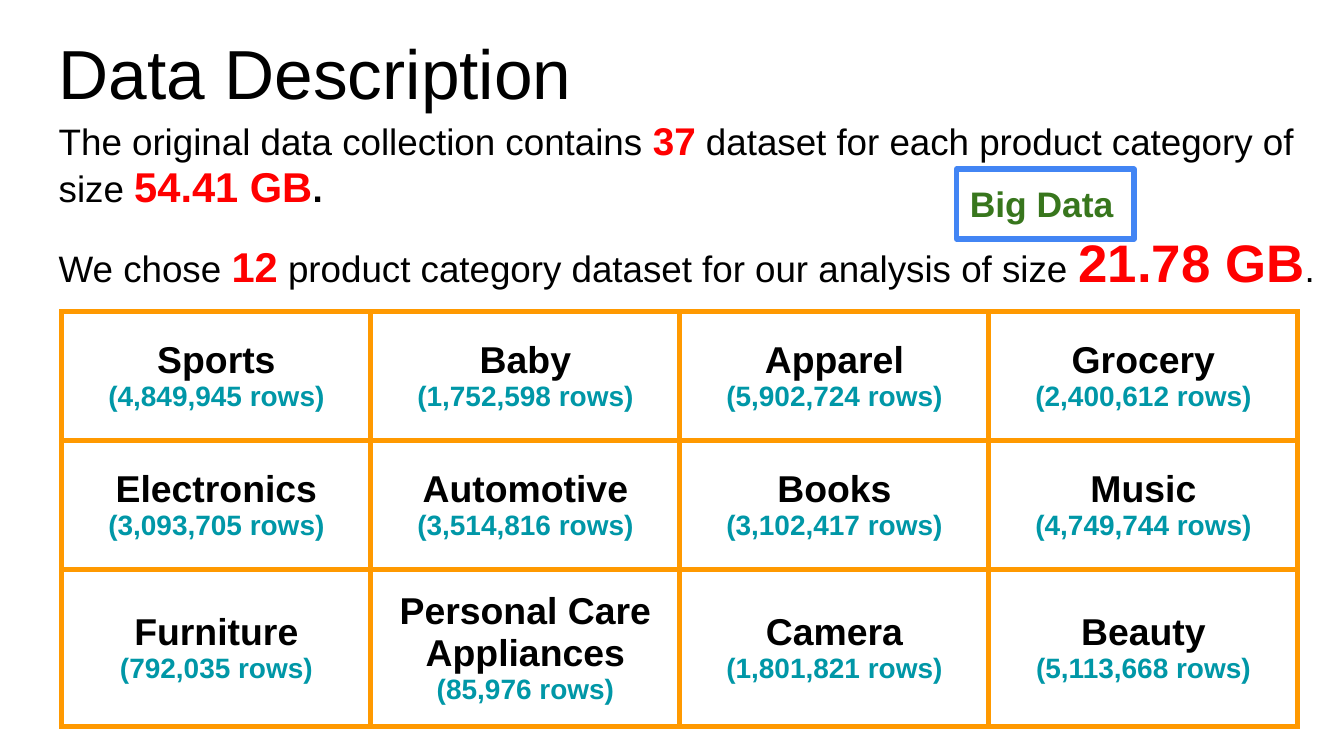
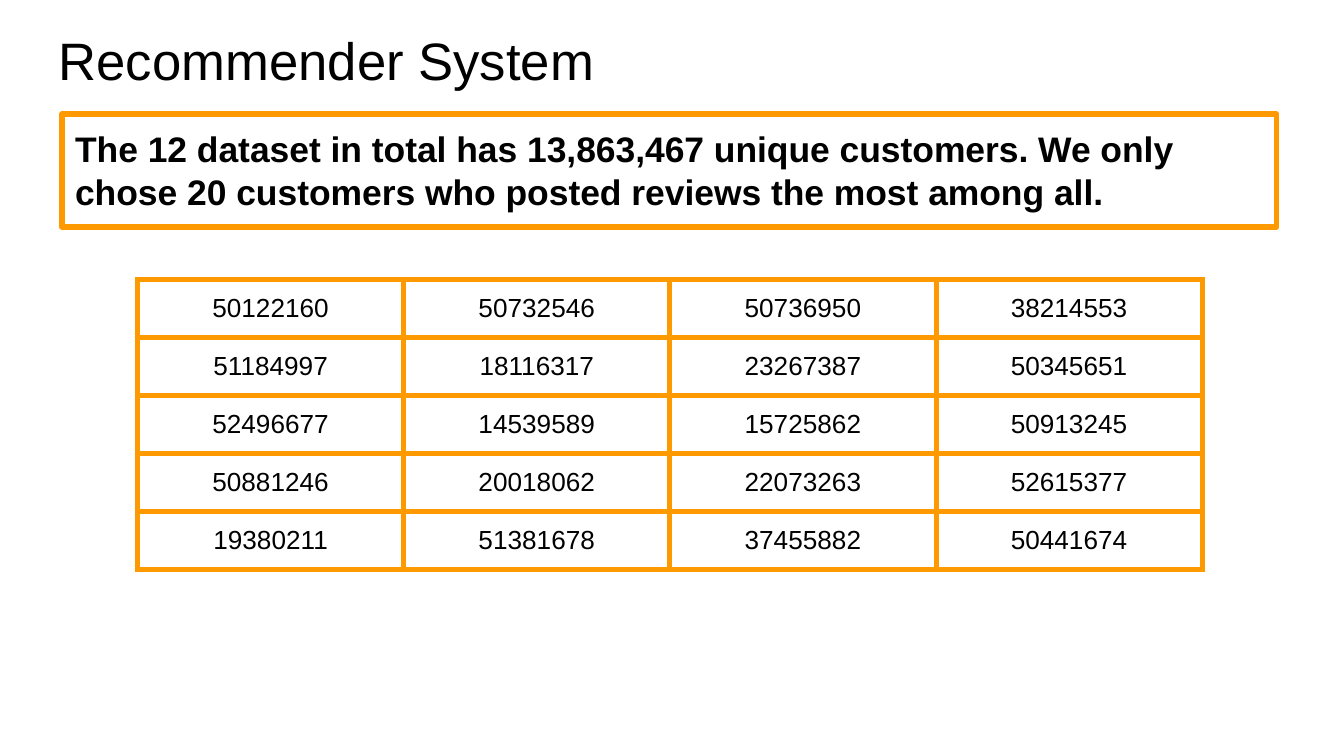
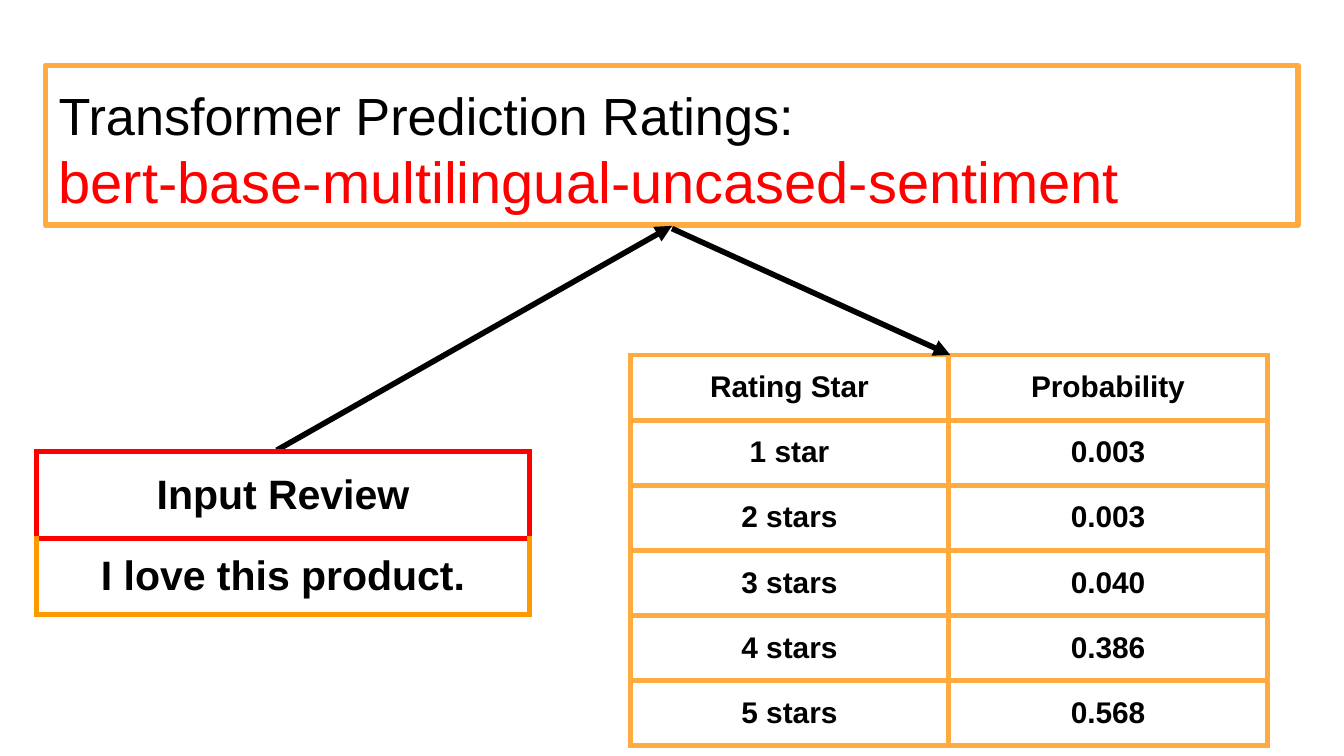
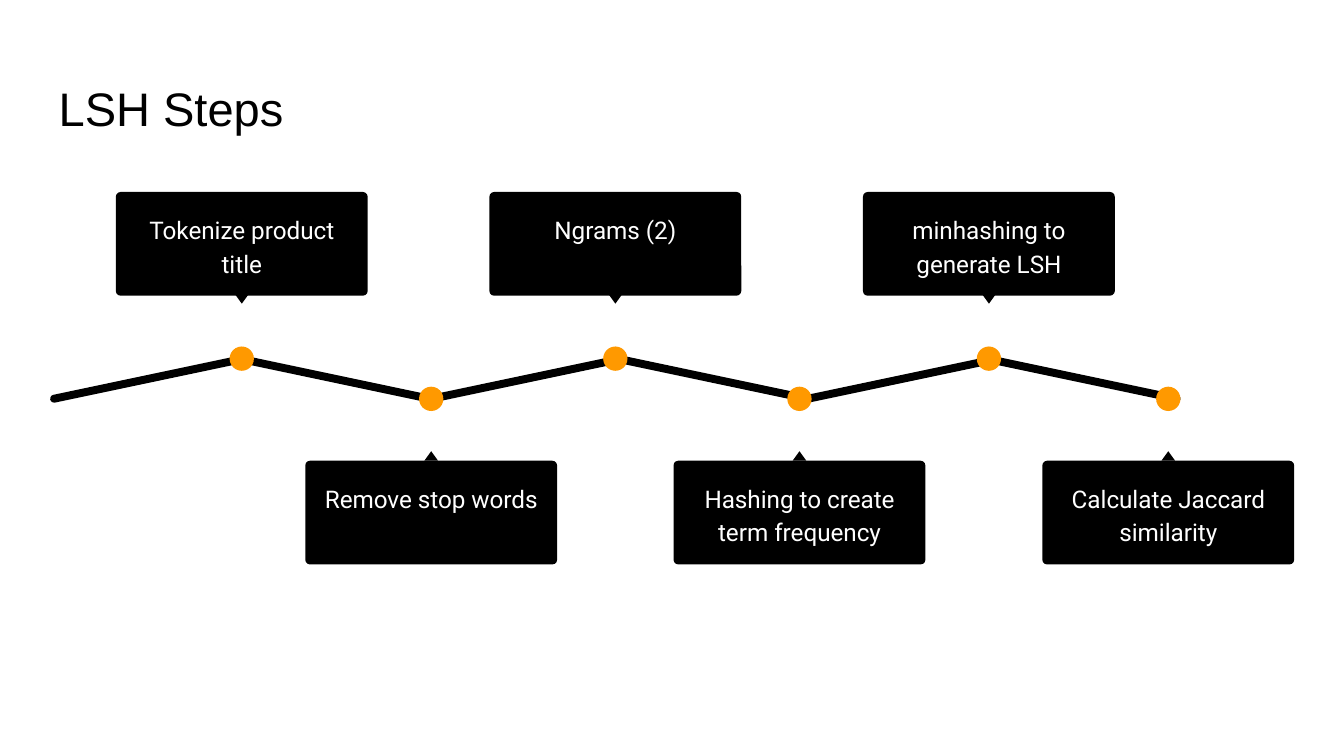
from pptx import Presentation
from pptx.dml.color import RGBColor as RGB
from pptx.enum.shapes import MSO_CONNECTOR as Link, MSO_SHAPE as Form
from pptx.enum.text import MSO_ANCHOR as Anchor, MSO_AUTO_SIZE as Auto, PP_ALIGN as Align
from pptx.oxml import parse_xml
from pptx.oxml.ns import nsdecls
from pptx.util import Cm, Pt

# Colours
BLACK = RGB(0x00, 0x00, 0x00)
WHITE = RGB(0xFF, 0xFF, 0xFF)
RED = RGB(0xFF, 0x00, 0x00)
ORANGE = RGB(0xFF, 0x99, 0x00)
AMBER = RGB(0xFF, 0xAB, 0x40)
BLUE = RGB(0x42, 0x85, 0xF4)
GREEN = RGB(0x38, 0x76, 0x1D)
TEAL = RGB(0x00, 0x97, 0xA7)

INSET = 0.25
LINE = Pt(3)


def say(para, text, size=14, color=BLACK, bold=False, font="Arial"):
    """Add one formatted run to a paragraph."""
    run = para.add_run()
    run.text = text
    run.font.size = Pt(size)
    run.font.color.rgb = color
    run.font.bold = bold
    run.font.name = font


def fill(frame, paras, align=Align.LEFT, space=None, before=0, after=0):
    """Write paragraphs, each a list of (text, format) runs."""
    for i, runs in enumerate(paras):
        para = frame.paragraphs[0] if i == 0 else frame.add_paragraph()
        para.alignment = align
        if space:
            para.line_spacing = space
        para.space_before = Pt(before if i else 0)
        para.space_after = Pt(after)
        for text, form in runs:
            say(para, text, **form)


def edge(cell, side, color):
    """Build the border of one cell side: L, R, T or B."""
    return parse_xml(
        f'<a:ln{side} {nsdecls("a")} w="{LINE}"><a:solidFill>'
        f'<a:srgbClr val="{color}"/></a:solidFill></a:ln{side}>')


class Deck:
    def __init__(self):
        self.prs = Presentation()
        self.prs.slide_width = Cm(25.4)
        self.prs.slide_height = Cm(14.29)
        self.slide = None

    def page(self):
        self.slide = self.prs.slides.add_slide(self.prs.slide_layouts[6])

    def frame(self, shape, top=INSET, grow=False):
        body = shape.text_frame
        body.word_wrap = True
        body.auto_size = Auto.SHAPE_TO_FIT_TEXT if grow else Auto.NONE
        body.vertical_anchor = Anchor.TOP
        body.margin_left = body.margin_right = body.margin_bottom = Cm(INSET)
        body.margin_top = Cm(top)
        return body

    def text(self, at, paras, top=INSET, **form):
        box = self.slide.shapes.add_textbox(*map(Cm, at))
        fill(self.frame(box, top), paras, **form)

    def title(self, y, text, size):
        self.text((0.86, y, 23.67, 1.6), [[(text, dict(size=size))]], top=0.34)

    def shape(self, form, at, color=None, line=None, turn=0, adj=None):
        item = self.slide.shapes.add_shape(form, *map(Cm, at))
        item.shadow.inherit = False
        item.rotation = turn
        if adj is not None:
            item.adjustments[0] = adj
        if color is None:
            item.fill.background()
        else:
            item.fill.solid()
            item.fill.fore_color.rgb = color
        if line is None:
            item.line.fill.background()
        else:
            item.line.color.rgb = line
            item.line.width = LINE
        return item

    def panel(self, at, line, paras, top=INSET, grow=True):
        item = self.shape(Form.RECTANGLE, at, line=line)
        fill(self.frame(item, top, grow), paras)

    def arrow(self, start, end):
        link = self.slide.shapes.add_connector(
            Link.STRAIGHT, *map(Cm, start + end))
        link.line.color.rgb = BLACK
        link.line.width = LINE
        link.line._get_or_add_ln().append(
            parse_xml(f'<a:tailEnd {nsdecls("a")} type="triangle"/>'))
        link._element.spPr.append(
            parse_xml(f'<a:effectLst {nsdecls("a")}/>'))

    def table(self, at, wide, highs, rows, color):
        """Draw a grid; every cell is a list of paragraphs."""
        cols = len(rows[0])
        grid = self.slide.shapes.add_table(
            len(rows), cols, *map(Cm, at + (wide * cols, sum(highs)))).table
        grid.first_row = grid.horz_banding = False
        for col in grid.columns:
            col.width = Cm(wide)
        for r, row in enumerate(rows):
            grid.rows[r].height = Cm(highs[r])
            for c, paras in enumerate(row):
                cell = grid.cell(r, c)
                cell.vertical_anchor = Anchor.MIDDLE
                cell.margin_left = cell.margin_right = Cm(INSET)
                cell.margin_top = cell.margin_bottom = Cm(INSET)
                cell.fill.background()
                fill(cell.text_frame, paras, align=Align.CENTER)
                self.trim(cell, dict.fromkeys("LRTB", color))
        return grid

    def trim(self, cell, sides):
        """Set all four borders of a cell."""
        props = cell._tc.get_or_add_tcPr()
        for old in list(props):
            if old.tag.endswith(("lnL", "lnR", "lnT", "lnB")):
                props.remove(old)
        for i, side in enumerate("LRTB"):
            props.insert(i, edge(cell, side, sides[side]))

    def step(self, x, text, high):
        """Draw a dot on the path with its callout above or below."""
        dot, card, tip = (6.78, 3.63, 5.56) if high else (7.54, 8.71, 8.53)
        self.shape(Form.OVAL, (x - 0.23, dot - 0.23, 0.46, 0.46), ORANGE)
        self.shape(Form.ROUNDED_RECTANGLE, (x - 2.38, card, 4.76, 1.96),
                   BLACK, adj=0.045)
        self.shape(Form.ISOSCELES_TRIANGLE, (x - 0.13, tip, 0.26, 0.18),
                   BLACK, turn=180 if high else 0)
        label = self.shape(Form.RECTANGLE,
                           (x - 2.26, card + 0.11, 4.52, 1.73), BLACK)
        look = dict(size=13, color=WHITE, font="Roboto")
        fill(self.frame(label), [[(text, look)]],
             align=Align.CENTER, space=1.15, after=16)


def plain(rows, **form):
    """Turn rows of strings into rows of table cells."""
    return [[[[(text, form)]] for text in row] for row in rows]


def data(deck):
    deck.page()
    deck.title(0.23, "Data Description", 37.2)
    base = dict(size=19.7)
    mid = dict(size=22.3, color=RED, bold=True)
    deck.text((0.86, 2.03, 24.36, 5.11), [
        [("The original data collection contains ", base),
         ("37", dict(mid, size=20.7)),
         (" dataset for each product category of size ", base),
         ("54.41 GB", mid),
         (".", dict(base, bold=True))],
        [("We chose ", base),
         ("12", mid),
         (" product category dataset for our analysis of size ", base),
         ("21.78 GB", dict(mid, size=28.3)),
         (".", base)],
    ], space=0.95, before=12)

    groups = [
        [("Sports", "4,849,945"), ("Baby", "1,752,598"),
         ("Apparel", "5,902,724"), ("Grocery", "2,400,612")],
        [("Electronics", "3,093,705"), ("Automotive", "3,514,816"),
         ("Books", "3,102,417"), ("Music", "4,749,744")],
        [("Furniture", "792,035"), ("Personal Care Appliances", "85,976"),
         ("Camera", "1,801,821"), ("Beauty", "5,113,668")],
    ]
    name = dict(size=20, bold=True)
    count = dict(size=15, color=TEAL, bold=True)
    cells = [[[[(group, name)], [(f"({rows} rows)", count)]]
              for group, rows in row] for row in groups]
    deck.table((1.17, 5.89), 5.84, [2.44, 2.44, 2.97], cells, ORANGE)
    deck.panel((18.08, 3.2, 3.35, 1.32), BLUE,
               [[("Big Data", dict(size=19, color=GREEN, bold=True))]])


def system(deck):
    deck.page()
    deck.title(0.18, "Recommender System", 28.2)
    deck.panel((1.17, 2.16, 22.96, 2.13), ORANGE, [[(
        "The 12 dataset in total has 13,863,467 unique customers. We only "
        "chose 20 customers who posted reviews the most among all.",
        dict(size=19, bold=True))]])
    users = [
        ["50122160", "50732546", "50736950", "38214553"],
        ["51184997", "18116317", "23267387", "50345651"],
        ["52496677", "14539589", "15725862", "50913245"],
        ["50881246", "20018062", "22073263", "52615377"],
        ["19380211", "51381678", "37455882", "50441674"],
    ]
    deck.table((2.6, 5.29), 5.03, [1.07] * 5, plain(users, size=14), ORANGE)


def ratings(deck):
    deck.page()
    deck.panel((0.86, 1.24, 23.67, 3.02), AMBER, [
        [("Transformer Prediction Ratings:", dict(size=28))],
        [("bert-base-multilingual-uncased-sentiment",
          dict(size=31, color=RED))],
    ], top=0.33, grow=False)
    deck.arrow((5.23, 8.51), (12.7, 4.27))
    odds = [
        ["Rating Star", "Probability"],
        ["1 star", "0.003"],
        ["2 stars", "0.003"],
        ["3 stars", "0.040"],
        ["4 stars", "0.386"],
        ["5 stars", "0.568"],
    ]
    deck.table((11.91, 6.71), 6.02, [1.23] * 6,
               plain(odds, size=16, bold=True), AMBER)
    deck.arrow((12.7, 4.32), (17.96, 6.71))
    review = [["Input Review"], ["I love this product."]]
    grid = deck.table((0.69, 8.53), 9.32, [1.65, 1.07],
                      plain(review, size=22, bold=True), RED)
    deck.trim(grid.cell(1, 0), dict(L=ORANGE, R=ORANGE, T=RED, B=ORANGE))


def steps(deck):
    deck.page()
    deck.title(1.17, "LSH Steps", 25.2)
    # Zigzag path, then the stops on it
    for i, x in enumerate([0.91, 4.47, 8.05, 11.61, 15.16, 18.59]):
        deck.shape(Form.ROUNDED_RECTANGLE, (x, 7.09, 3.76, 0.15), BLACK,
                   turn=11.9 if i % 2 else -11.9, adj=0.5)
    stops = [
        (4.57, "Tokenize product title"),
        (8.15, "Remove stop words"),
        (11.63, "Ngrams (2)"),
        (15.11, "Hashing to create term frequency"),
        (18.69, "minhashing to generate LSH"),
        (22.08, "Calculate Jaccard similarity"),
    ]
    for i, (x, text) in enumerate(stops):
        deck.step(x, text, high=i % 2 == 0)


def main():
    deck = Deck()
    for part in (data, system, ratings, steps):
        part(deck)
    deck.prs.save("out.pptx")


if __name__ == "__main__":
    main()
